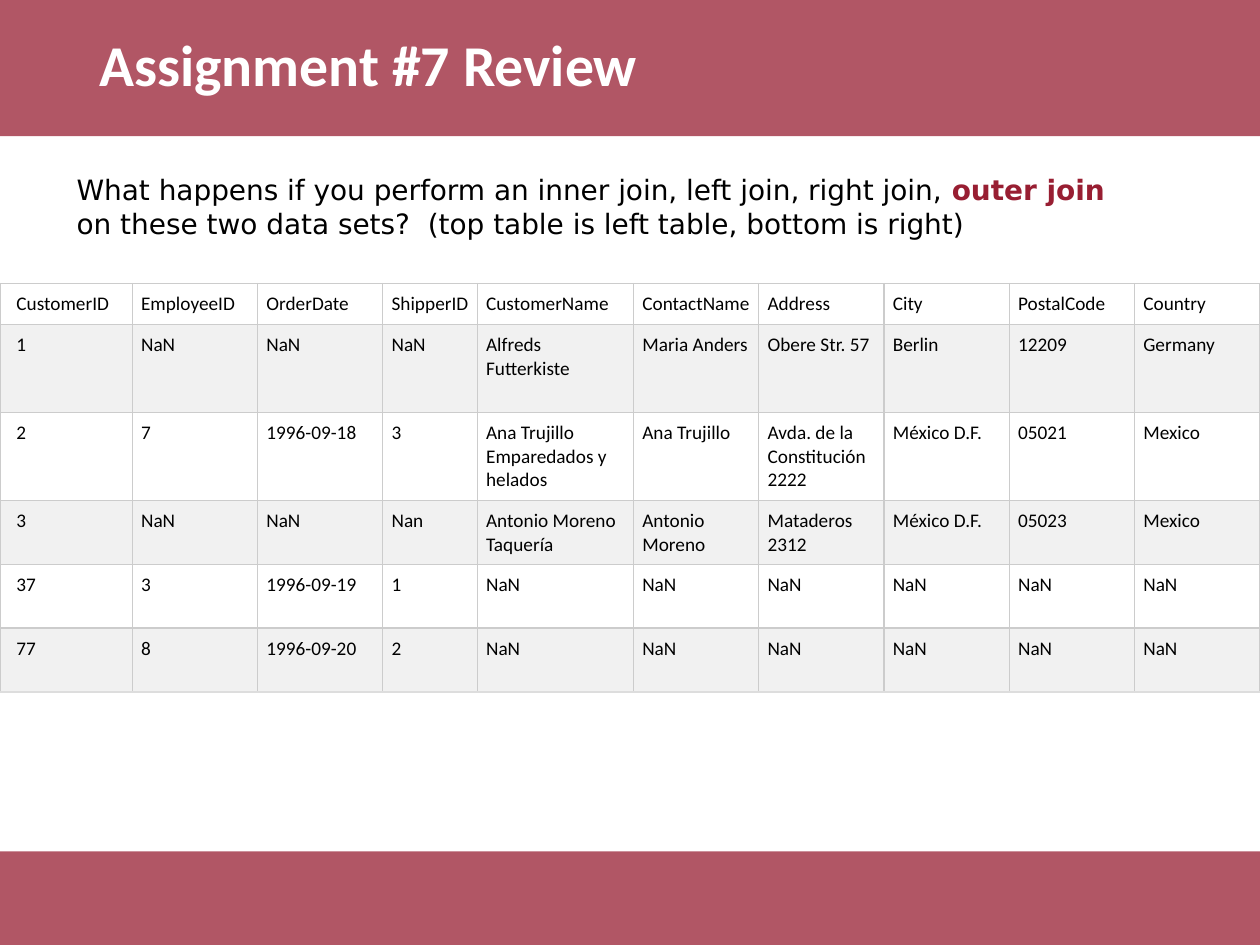
from lxml.etree import SubElement
from pptx import Presentation
from pptx.dml.color import RGBColor
from pptx.enum.shapes import MSO_SHAPE as Shape
from pptx.enum.text import MSO_ANCHOR as Anchor
from pptx.oxml.ns import qn
from pptx.util import Inches, Pt

COLORS = {
    "crimson": "981E32", "white": "FFFFFF", "black": "000000",
    "stripe": "F1F1F1", "border": "CCCCCC", "last border": "DDDDDD",
}
HEADING_FONT, BODY_FONT = "Calibri", "DejaVu Sans"

# Shares of the slide, in percent
HEADER_HEIGHT = 14.4
FOOTER_HEIGHT = 9.9
TEXT_WIDTH = 86.2
ID_WIDTH, SHIPPER_WIDTH, NAME_WIDTH = 10.5, 7.5, 12.4
OTHER_WIDTH = (100 - ID_WIDTH - SHIPPER_WIDTH - NAME_WIDTH) / 7
COLUMNS = [ID_WIDTH, OTHER_WIDTH, OTHER_WIDTH, SHIPPER_WIDTH, NAME_WIDTH] + [OTHER_WIDTH] * 5
ROWS = [4.23] + [9.31] * 2 + [6.77] * 3

OUTER_JOIN = [
    ["CustomerID", "EmployeeID", "OrderDate", "ShipperID", "CustomerName",
     "ContactName", "Address", "City", "PostalCode", "Country"],
    ["1", "NaN", "NaN", "NaN", "Alfreds Futterkiste",
     "Maria Anders", "Obere Str. 57", "Berlin", "12209", "Germany"],
    ["2", "7", "1996-09-18", "3", "Ana Trujillo Emparedados y helados",
     "Ana Trujillo", "Avda. de la Constitución 2222", "México D.F.", "05021", "Mexico"],
    ["3", "NaN", "NaN", "Nan", "Antonio Moreno Taquería",
     "Antonio Moreno", "Mataderos 2312", "México D.F.", "05023", "Mexico"],
    ["37", "3", "1996-09-19", "1"] + ["NaN"] * 6,
    ["77", "8", "1996-09-20", "2"] + ["NaN"] * 6,
]


class SlideBuilder:
    """Holds the style and the current slide; lengths are percentages of the slide."""

    def __init__(self, deck):
        self.width, self.height = deck.slide_width, deck.slide_height
        self.page = deck.slides.add_slide(deck.slide_layouts[6])

    def across(self, share):
        return round(self.width * share / 100)

    def down(self, share):
        return round(self.height * share / 100)

    def area(self, left, top, width, height):
        return self.across(left), self.down(top), self.across(width), self.down(height)

    def style(self, span, size, font, color="black", bold=False):
        span.font.size, span.font.name, span.font.bold = Pt(size), font, bold
        span.font.color.rgb = RGBColor.from_string(COLORS[color])

    def band(self, top, height):
        box = self.page.shapes.add_shape(Shape.RECTANGLE, *self.area(0, top, 100, height))
        box.shadow.inherit = False
        box.line.fill.background()
        box.fill.solid()
        box.fill.fore_color.rgb = RGBColor.from_string(COLORS["crimson"])
        color = box.fill._xPr.find(".//" + qn("a:srgbClr"))
        SubElement(color, qn("a:alpha"), val="75000")

    def text(self, area, spans, size, font, anchor, line_spacing=1.0):
        frame = self.page.shapes.add_textbox(*self.area(*area)).text_frame
        frame.word_wrap = True
        frame.vertical_anchor = anchor
        para = frame.paragraphs[0]
        para.line_spacing = line_spacing
        for words, color, bold in spans:
            span = para.add_run()
            span.text = words
            self.style(span, size, font, color, bold)

    def border(self, cell, bottom):
        properties = cell._tc.get_or_add_tcPr()
        sides = {"lnL": "border", "lnR": "border", "lnT": "border", "lnB": bottom}
        for index, (side, color) in enumerate(sides.items()):
            line = properties.makeelement(qn("a:" + side), {"w": str(Pt(0.75))})
            fill = SubElement(line, qn("a:solidFill"))
            SubElement(fill, qn("a:srgbClr"), val=COLORS[color])
            properties.insert(index, line)

    def table(self, top, columns, rows, values):
        table = self.page.shapes.add_table(
            len(rows), len(columns), *self.area(0, top, sum(columns), sum(rows))).table
        for column, share in zip(table.columns, columns):
            column.width = self.across(share)
        for row, share in zip(table.rows, rows):
            row.height = self.down(share)
        for r, record in enumerate(values):
            for c, value in enumerate(record):
                cell = table.cell(r, c)
                cell.text = value
                self.style(cell.text_frame.paragraphs[0].runs[0], 11, HEADING_FONT)
                cell.margin_left = Inches(0.07 if c else 0.13)
                cell.margin_right = cell.margin_top = cell.margin_bottom = Inches(0.07)
                cell.fill.solid()
                cell.fill.fore_color.rgb = RGBColor.from_string(
                    COLORS["stripe" if r % 2 else "white"])
                self.border(cell, "last border" if r == len(values) - 1 else "border")


def main():
    deck = Presentation()
    deck.slide_width, deck.slide_height = Inches(10), Inches(7.5)
    slide = SlideBuilder(deck)

    # Footer and header bands
    slide.band(100 - FOOTER_HEIGHT, FOOTER_HEIGHT)
    slide.band(0, HEADER_HEIGHT)

    # Title
    slide.text((6.9, 0, TEXT_WIDTH, HEADER_HEIGHT),
               [("Assignment #7 Review", "white", True)],
               33, HEADING_FONT, Anchor.MIDDLE, 0.9)

    # Result of the outer join
    slide.table(30, COLUMNS, ROWS, OUTER_JOIN)

    # Question
    slide.text((5.1, 17.6, TEXT_WIDTH, 12.4), [
        ("What happens if you perform an inner join, left join, right join, ", "black", False),
        ("outer join ", "crimson", True),
        ("on these two data sets?  (top table is left table, bottom is right)", "black", False),
    ], 16, BODY_FONT, Anchor.TOP)

    deck.save("out.pptx")


if __name__ == "__main__":
    main()
